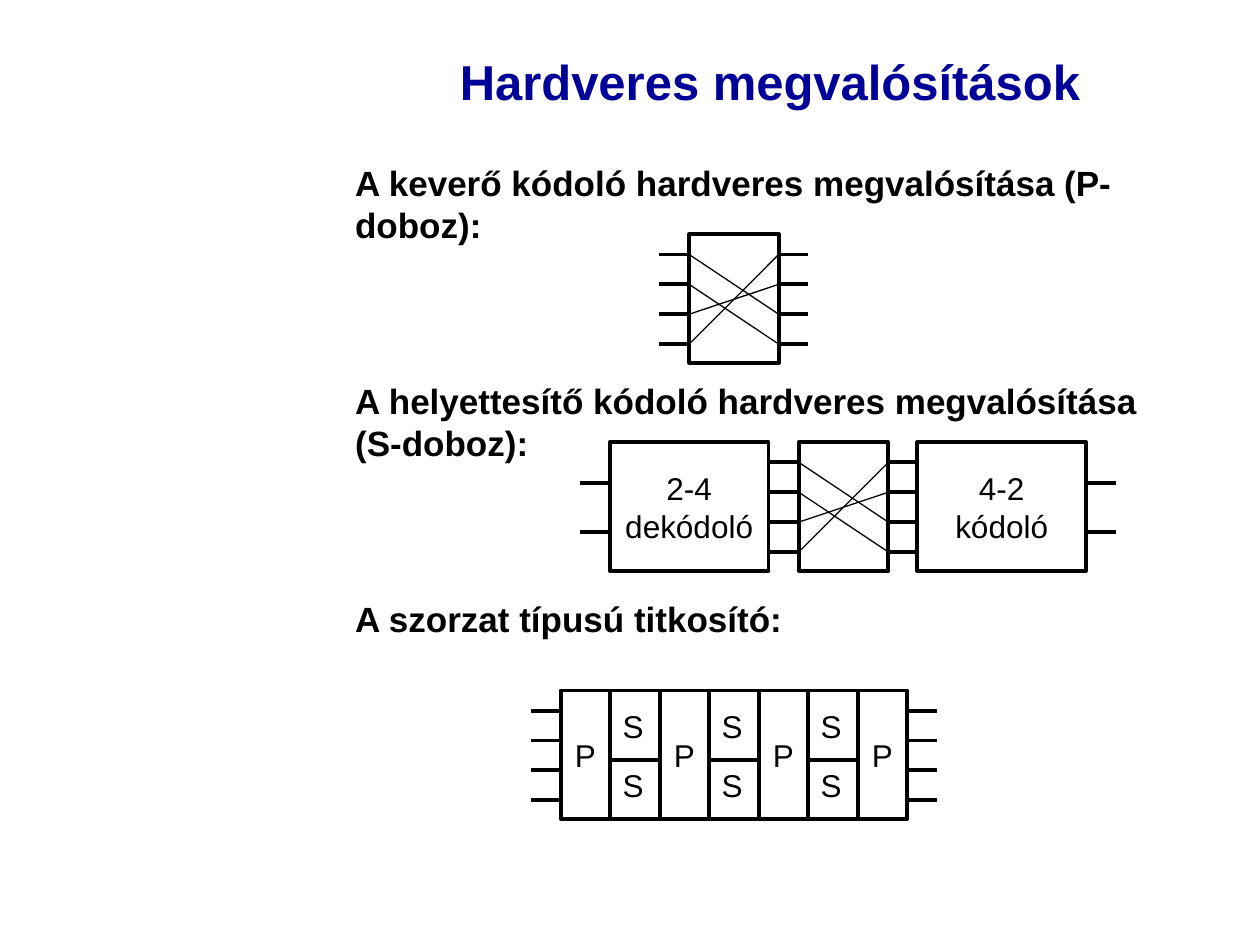
from dataclasses import dataclass

from lxml import etree
from pptx import Presentation
from pptx.dml.color import RGBColor
from pptx.enum import shapes as kinds, text as t
from pptx.oxml import ns
from pptx.util import Inches, Pt


@dataclass(frozen=True)
class Theme:
    font: str = "Arial"
    title_color: str = "000099"
    ink: str = "000000"
    title_size: int = 28
    heading_size: int = 20
    label_size: int = 18
    thick: float = 2.25
    thin: float = 0.75


THEME = Theme()

TITLE = "Hardveres megvalósítások"
HEADINGS = [  # text, top, width, height
    ("A keverő kódoló hardveres megvalósítása (P-doboz):", 1.23, 6.77, 0.77),
    ("A helyettesítő kódoló hardveres megvalósítása (S-doboz):", 2.96, 6.61, 0.77),
    ("A szorzat típusú titkosító:", 4.69, 6.61, 0.44),
]
DECODER = ["2-4", "dekódoló"]
ENCODER = ["4-2", "kódoló"]
PRODUCT_STAGES = "PSPSPSP"
PERMUTATION = [2, 3, 1, 0]  # output pin reached from each input pin

TEXT_LEFT = 2.72
BOX_HEIGHT = 1.02
P_WIDTH = 0.71
STAGE_WIDTH = 2.75 / len(PRODUCT_STAGES)
PIN_LENGTH = 0.236
FOUR_PINS = [0.16 + 0.237 * i for i in range(4)]
TWO_PINS = [0.32, 0.71]

P_BOX = (5.47, 1.86)
S_BOX_TOP = 3.51
DECODER_LEFT, DECODER_WIDTH = 4.84, 1.26
S_BOX_P_LEFT = 6.34
ENCODER_LEFT, ENCODER_WIDTH = 7.28, 1.34
PRODUCT = (4.45, 5.48)

prs = Presentation()
prs.slide_width, prs.slide_height = Inches(10), Inches(7.5)
slide = prs.slides.add_slide(prs.slide_layouts[6])


def write(shape, lines, size, color=THEME.ink, bold=False, wrap=True,
          align=t.PP_ALIGN.LEFT, anchor=t.MSO_ANCHOR.TOP):
    frame = shape.text_frame
    frame.word_wrap = wrap
    frame.vertical_anchor = anchor
    frame.text = "\n".join(lines)
    for paragraph in frame.paragraphs:
        paragraph.alignment = align
        formats = {"name": THEME.font, "size": Pt(size), "bold": bold}
        for key, value in formats.items():
            setattr(paragraph.font, key, value)
        paragraph.font.color.rgb = RGBColor.from_string(color)


def text_box(lines, left, top, width, height, size, **style):
    box = slide.shapes.add_textbox(*map(Inches, (left, top, width, height)))
    write(box, lines, size, **style)


def draw_line(x1, y1, x2, y2, weight=THEME.thick):
    line = slide.shapes.add_connector(
        kinds.MSO_CONNECTOR.STRAIGHT, *map(Inches, (x1, y1, x2, y2)))
    line.line.color.rgb = RGBColor.from_string(THEME.ink)
    line.line.width = Pt(weight)
    etree.SubElement(line._element.spPr, ns.qn("a:effectLst"))


def block(left, top, width, lines=()):
    box = slide.shapes.add_shape(
        kinds.MSO_SHAPE.RECTANGLE, *map(Inches, (left, top, width, BOX_HEIGHT)))
    box.shadow.inherit = False
    box.fill.background()
    box.line.color.rgb = RGBColor.from_string(THEME.ink)
    box.line.width = Pt(THEME.thick)
    if lines:
        write(box, lines, THEME.label_size, wrap=False,
              align=t.PP_ALIGN.CENTER, anchor=t.MSO_ANCHOR.MIDDLE)


def pins(left, top, offsets):
    for offset in offsets:
        draw_line(left, top + offset, left + PIN_LENGTH, top + offset)


def pins_both_sides(left, top, width, offsets):
    pins(left - PIN_LENGTH, top, offsets)
    pins(left + width, top, offsets)


def permutation_box(left, top):
    """A box with four pins a side and crossing wires inside."""
    block(left, top, P_WIDTH)
    pins_both_sides(left, top, P_WIDTH, FOUR_PINS)
    for start, end in enumerate(PERMUTATION):
        draw_line(left, top + FOUR_PINS[start],
                  left + P_WIDTH, top + FOUR_PINS[end], THEME.thin)


def substitution_box():
    permutation_box(S_BOX_P_LEFT, S_BOX_TOP)
    block(DECODER_LEFT, S_BOX_TOP, DECODER_WIDTH, DECODER)
    block(ENCODER_LEFT, S_BOX_TOP, ENCODER_WIDTH, ENCODER)
    pins(DECODER_LEFT - PIN_LENGTH, S_BOX_TOP, TWO_PINS)
    pins(ENCODER_LEFT + ENCODER_WIDTH, S_BOX_TOP, TWO_PINS)


def product_cipher(left, top):
    """Alternating P stages and S stages, the latter split in two halves."""
    pins_both_sides(left, top, STAGE_WIDTH * len(PRODUCT_STAGES), FOUR_PINS)
    for i, stage in enumerate(PRODUCT_STAGES):
        x = left + i * STAGE_WIDTH
        if stage == "P":
            block(x, top, STAGE_WIDTH, [stage])
            continue
        block(x, top, STAGE_WIDTH)
        draw_line(x, top + 0.55, x + STAGE_WIDTH, top + 0.55)
        for offset in (0.08, 0.55):
            text_box([stage], x, top + offset, 0.36, 0.4,
                     THEME.label_size, wrap=False)


text_box([TITLE], TEXT_LEFT, 0.3, 6.78, 0.69, THEME.title_size,
         color=THEME.title_color, bold=True,
         align=t.PP_ALIGN.CENTER, anchor=t.MSO_ANCHOR.MIDDLE)
for heading, top, width, height in HEADINGS:
    text_box([heading], TEXT_LEFT, top, width, height,
             THEME.heading_size, bold=True)
permutation_box(*P_BOX)
substitution_box()
product_cipher(*PRODUCT)

prs.save("out.pptx")
